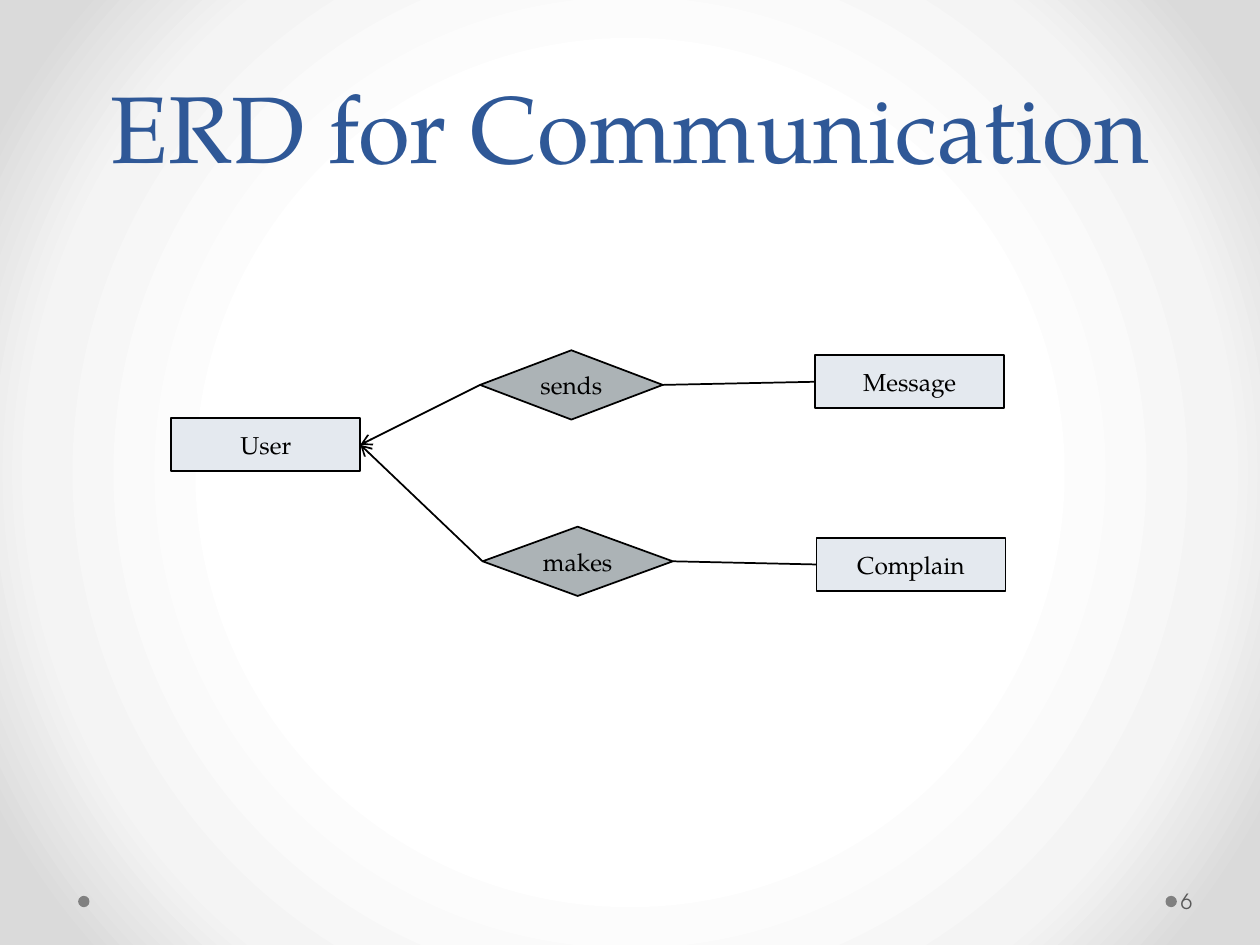
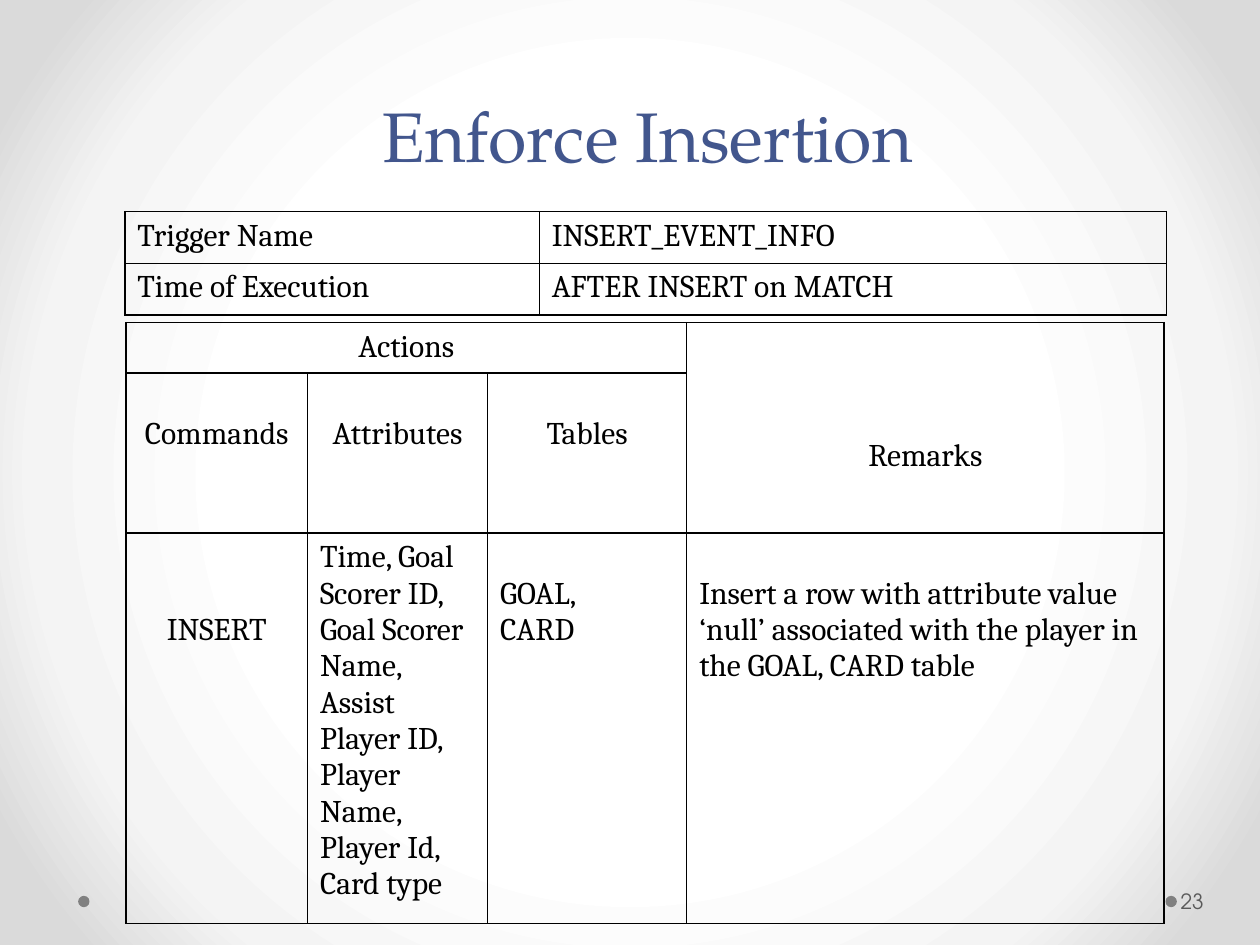
from lxml import etree
from pptx import Presentation
from pptx.dml.color import RGBColor
from pptx.enum.shapes import MSO_CONNECTOR, MSO_SHAPE
from pptx.enum.text import MSO_ANCHOR, MSO_AUTO_SIZE, PP_ALIGN
from pptx.oxml.ns import qn
from pptx.util import Inches, Pt

LEFT, CENTER = PP_ALIGN.LEFT, PP_ALIGN.CENTER
MIDDLE, BOTTOM = MSO_ANCHOR.MIDDLE, MSO_ANCHOR.BOTTOM
RECT, DIAMOND, OVAL = MSO_SHAPE.RECTANGLE, MSO_SHAPE.DIAMOND, MSO_SHAPE.OVAL
STRAIGHT = MSO_CONNECTOR.STRAIGHT
NO_AUTOFIT = MSO_AUTO_SIZE.NONE
TITLE_ONLY = 5
LEFT_SIDE, RIGHT_SIDE = 1, 3

SERIF, SANS, TABLE_FONT = "TeX Gyre Pagella", "TeX Gyre Adventor", "Cambria"
BLACK, BLUE, INDIGO = "000000", "2F5897", "42568D"
ENTITY_FILL, RELATION_FILL = "E4E9EF", "ACB3B6"
DOT_GRAY, NUMBER_GRAY = "808080", "595959"
BACKGROUND_STOPS = [(50, "FFFFFF"), (76, "F4F4F4"), (92, "DADADA")]
LINE_HEIGHT = 0.29  # one line of table text, in inches


def rgb(color):
    return RGBColor.from_string(color)


def box(*lengths):
    return [Inches(n) for n in lengths]


def write(tf, text, font=SERIF, size=14, color=BLACK, align=CENTER, spacing=None):
    """Fill a text frame, one paragraph for each line of text."""
    for i, line in enumerate(text.split("\n")):
        p = tf.add_paragraph() if i else tf.paragraphs[0]
        p.alignment = align
        if spacing:
            p.line_spacing = Pt(spacing)
        r = p.add_run()
        r.text = line
        r.font.name = font
        r.font.size = Pt(size)
        r.font.color.rgb = rgb(color)


def add_solid(parent, color):
    fill = etree.SubElement(parent, qn("a:solidFill"))
    etree.SubElement(fill, qn("a:srgbClr"), val=color)


def set_background(master):
    """Give the master a round gradient that darkens towards the corners."""
    master.background.fill.gradient()
    grad = master.element.find(".//" + qn("a:gradFill"))
    for child in list(grad):
        grad.remove(child)
    stops = etree.SubElement(grad, qn("a:gsLst"))
    for percent, color in BACKGROUND_STOPS:
        stop = etree.SubElement(stops, qn("a:gs"), pos=str(percent * 1000))
        etree.SubElement(stop, qn("a:srgbClr"), val=color)
    shade = etree.SubElement(grad, qn("a:path"), path="circle")
    etree.SubElement(shade, qn("a:fillToRect"), l="50000", t="50000", r="50000", b="50000")


def set_borders(cell):
    tc_pr = cell._tc.get_or_add_tcPr()
    for i, side in enumerate(("lnL", "lnR", "lnT", "lnB")):
        ln = etree.Element(qn("a:" + side), w=str(Pt(1)))
        add_solid(ln, BLACK)
        tc_pr.insert(i, ln)


class Deck:
    def __init__(self):
        self.prs = Presentation()
        self.prs.slide_width, self.prs.slide_height = box(10, 7.5)
        set_background(self.prs.slide_master)
        self.s = None

    def add_slide(self, title, number, place, size, color):
        self.s = self.prs.slides.add_slide(self.prs.slide_layouts[TITLE_ONLY])
        for x in (0.62, 9.25):
            self.shape(OVAL, (x, 7.11, 0.09, 0.09), DOT_GRAY)
        sp = self.s.shapes.title
        sp.left, sp.top, sp.width, sp.height = box(*place)
        tf = sp.text_frame
        tf.vertical_anchor = BOTTOM
        tf.auto_size = NO_AUTOFIT
        write(tf, title, size=size, color=color, spacing=58)
        self.page_number(number)

    def page_number(self, number):
        tf = self.s.shapes.add_textbox(*box(9.34, 6.95, 0.61, 0.4)).text_frame
        tf.word_wrap = True
        tf.vertical_anchor = MIDDLE
        tf.margin_left, tf.margin_right = box(0.03, 0.05)
        write(tf, str(number), font=SANS, size=12, color=NUMBER_GRAY, align=LEFT)

    def shape(self, kind, place, fill, text=None):
        """Add a plain shape, or an outlined one if it has text."""
        sp = self.s.shapes.add_shape(kind, *box(*place))
        sp.shadow.inherit = False
        sp.fill.solid()
        sp.fill.fore_color.rgb = rgb(fill)
        if text is None:
            sp.line.fill.background()
            return sp
        sp.line.color.rgb = rgb(BLACK)
        sp.line.width = Pt(1)
        sp.text_frame.vertical_anchor = MIDDLE
        write(sp.text_frame, text)
        return sp

    def entity(self, text, x, y):
        return self.shape(RECT, (x, y, 1.5, 0.42), ENTITY_FILL, text)

    def relation(self, text, x, y, width):
        return self.shape(DIAMOND, (x, y, width, 0.55), RELATION_FILL, text)

    def connect(self, start, start_side, end, end_side, arrow=False):
        line = self.s.shapes.add_connector(STRAIGHT, 0, 0, 0, 0)
        line.begin_connect(start, start_side)
        line.end_connect(end, end_side)
        line.line.color.rgb = rgb(BLACK)
        line.line.width = Pt(1)
        if arrow:
            etree.SubElement(line.line._get_or_add_ln(), qn("a:tailEnd"), type="arrow")
        etree.SubElement(line._element.spPr, qn("a:effectLst"))

    def table(self, x, y, widths, heights, cells, spans=()):
        """cells maps (row, column) to (text, alignment, lines left free above)."""
        place = box(x, y, sum(widths), sum(heights))
        table = self.s.shapes.add_table(len(heights), len(widths), *place).table
        table.first_row = table.horz_banding = False
        for column, width in zip(table.columns, widths):
            column.width = Inches(width)
        for row, height in zip(table.rows, heights):
            row.height = Inches(height)
        for first, last in spans:
            table.cell(*first).merge(table.cell(*last))
        for cell in table.iter_cells():
            cell.fill.background()
            set_borders(cell)
        for position, (text, align, free_lines) in cells.items():
            cell = table.cell(*position)
            cell.margin_top = Inches(0.05 + free_lines * LINE_HEIGHT)
            write(cell.text_frame, text, font=TABLE_FONT, size=18, align=align)


def communication_slide(deck):
    deck.add_slide("ERD for Communication", 6, (0.5, 0.25, 9, 1.25), 54, BLUE)
    user = deck.entity("User", 1.36, 3.32)
    sends = deck.relation("sends", 3.81, 2.78, 1.45)
    message = deck.entity("Message", 6.47, 2.82)
    makes = deck.relation("makes", 3.83, 4.18, 1.51)
    complain = deck.entity("Complain", 6.48, 4.27)
    for relation, target in ((sends, message), (makes, complain)):
        deck.connect(relation, LEFT_SIDE, user, RIGHT_SIDE, arrow=True)
        deck.connect(relation, RIGHT_SIDE, target, LEFT_SIDE)


def insertion_slide(deck):
    deck.add_slide("Enforce Insertion", 23, (1.12, 0.43, 8.04, 1.02), 40, INDIGO)
    deck.table(0.99, 1.68, (3.29, 4.98), (0.41, 0.41), {
        (0, 0): ("Trigger Name", LEFT, 0),
        (0, 1): ("INSERT_EVENT_INFO", LEFT, 0),
        (1, 0): ("Time of Execution", LEFT, 0),
        (1, 1): ("AFTER INSERT on MATCH", LEFT, 0),
    })
    deck.table(1, 2.56, (1.44, 1.43, 1.58, 3.79), (0.39, 1.25, 2.98), {
        (0, 0): ("Actions", CENTER, 0),
        (0, 3): ("Remarks", CENTER, 3),
        (1, 0): ("Commands", CENTER, 1),
        (1, 1): ("Attributes", CENTER, 1),
        (1, 2): ("Tables", CENTER, 1),
        (2, 0): ("INSERT", CENTER, 2),
        (2, 1): ("Time, Goal Scorer ID, Goal Scorer Name, Assist Player ID, "
                 "Player Name, Player Id, Card type", LEFT, 0),
        (2, 2): ("GOAL,\nCARD", LEFT, 1),
        (2, 3): ("Insert a row with attribute value\n"
                 "‘null’ associated with the player in the GOAL, CARD table", LEFT, 1),
    }, spans=[((0, 0), (0, 2)), ((0, 3), (1, 3))])


def main():
    deck = Deck()
    communication_slide(deck)
    insertion_slide(deck)
    deck.prs.save("out.pptx")


if __name__ == "__main__":
    main()
